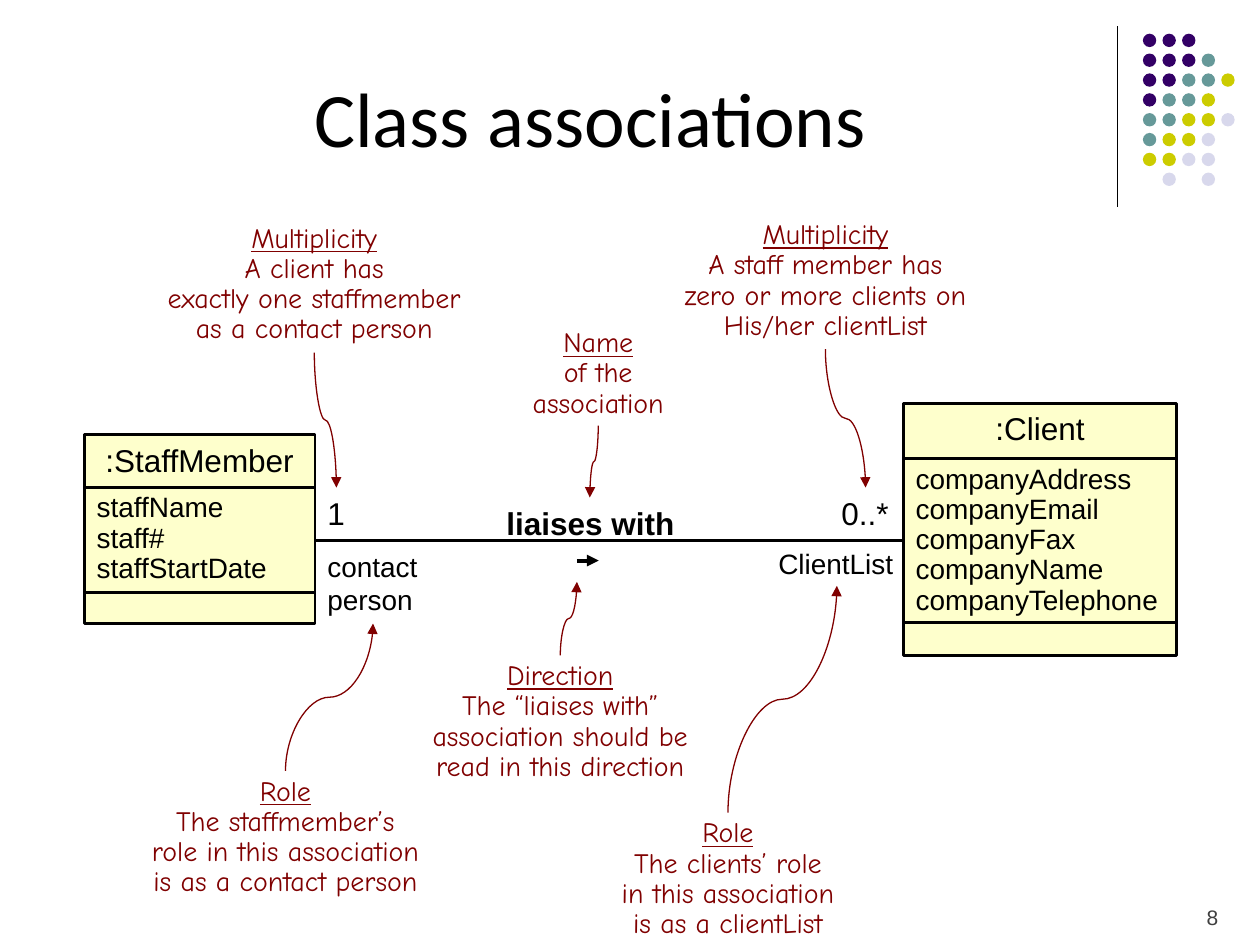
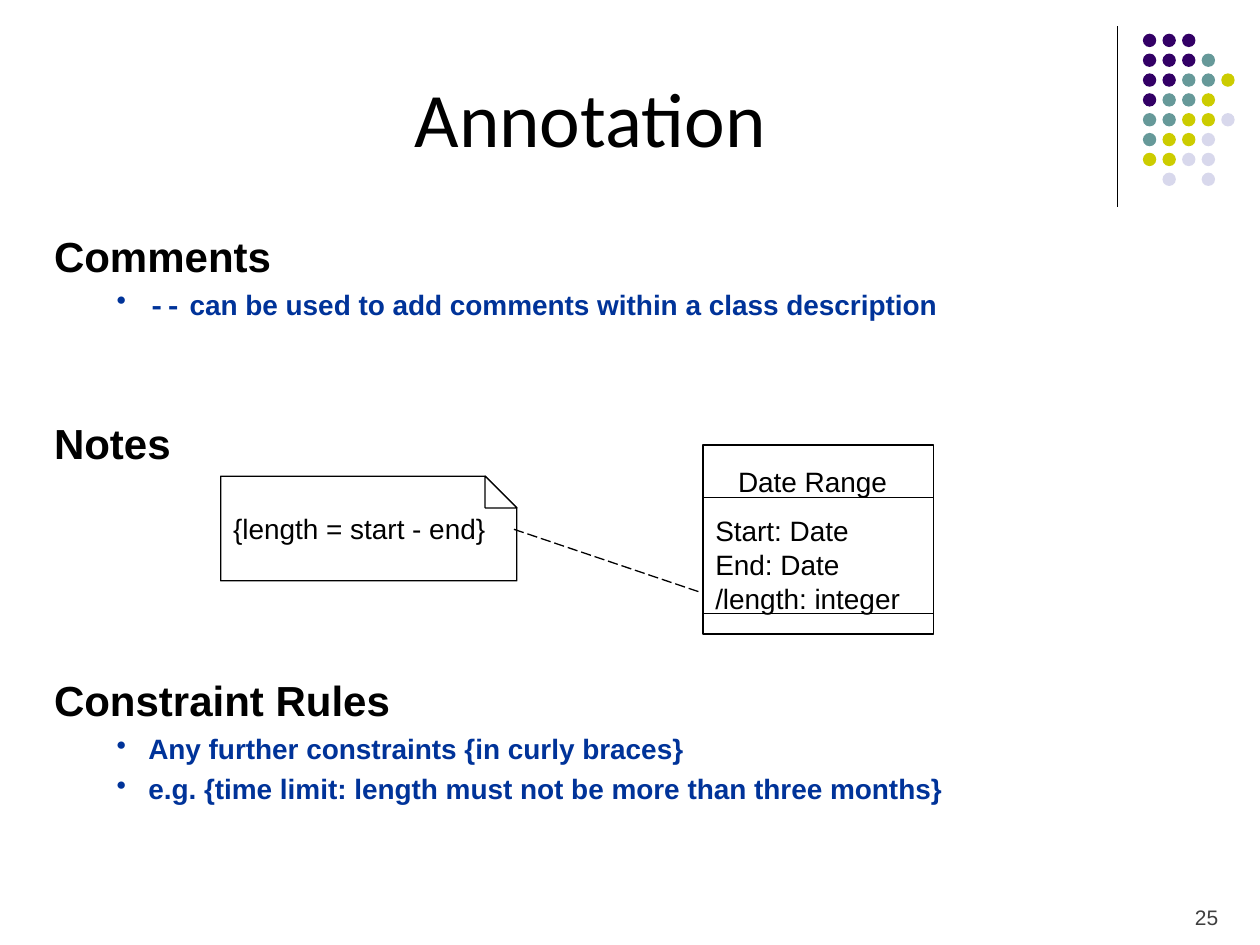
from dataclasses import dataclass

from pptx import Presentation
from pptx.dml.color import RGBColor
from pptx.enum.dml import MSO_LINE
from pptx.enum.shapes import MSO_CONNECTOR, MSO_SHAPE
from pptx.enum.text import MSO_ANCHOR, PP_ALIGN
from pptx.oxml import parse_xml
from pptx.oxml.ns import nsdecls, qn
from pptx.util import Cm, Pt

RECT, OVAL, FOLD = MSO_SHAPE.RECTANGLE, MSO_SHAPE.OVAL, MSO_SHAPE.RIGHT_TRIANGLE
LINE, CURVE = MSO_CONNECTOR.STRAIGHT, MSO_CONNECTOR.CURVE
LEFT, MID, RIGHT = PP_ALIGN.LEFT, PP_ALIGN.CENTER, PP_ALIGN.RIGHT
TOP, HALF, BASE = MSO_ANCHOR.TOP, MSO_ANCHOR.MIDDLE, MSO_ANCHOR.BOTTOM
DASH = MSO_LINE.LONG_DASH


@dataclass(frozen=True)
class Theme:
    ink: str = "000000"
    white: str = "FFFFFF"
    cream: str = "FEFFCC"
    wine: str = "800000"
    blue: str = "003399"
    gray: str = "3F3F3F"
    dots: tuple = (("P", "330066"), ("T", "669999"), ("Y", "CCCC00"), ("L", "D8D8EC"))
    sans: str = "Arial"
    title_font: str = "Calibri"
    hand: str = "Comic Neue"
    mono: str = "Courier New"
    title: int = 44
    head: int = 24
    name: int = 18
    text: int = 16
    foot: int = 12
    thin: float = 0.75
    bold: float = 1.5
    thick: float = 2.25


T = Theme()


def put(slide, box, lines=(), kind=None, fill=None, edge=None, size=T.text, face=T.sans,
        color=T.ink, align=LEFT, anchor=TOP, space=1.0, wrap=False):
    """Add a text box, or a preset shape if kind is given; box is in centimetres."""
    area = [Cm(v) for v in box]
    if kind is None:
        shape = slide.shapes.add_textbox(*area)
    else:
        shape = slide.shapes.add_shape(kind, *area)
        shape.shadow.inherit = False
        shape.fill.background()
        shape.line.fill.background()
    if fill:
        shape.fill.solid()
        shape.fill.fore_color.rgb = RGBColor.from_string(fill)
    if edge:
        shape.line.color.rgb = RGBColor.from_string(T.ink)
        shape.line.width = Pt(edge)
    frame = shape.text_frame
    frame.word_wrap, frame.vertical_anchor = wrap, anchor
    if lines:
        frame.text = "\n".join(lines)
        for para in frame.paragraphs:
            para.alignment, para.line_spacing = align, space
            para.font.name, para.font.size = face, Pt(size)
            para.font.color.rgb = RGBColor.from_string(color)
    return shape


def link(slide, start, end, color=T.ink, width=T.thin, kind=LINE, arrow=False):
    """Join two points; a curve leaves and arrives vertically."""
    (x1, y1), (x2, y2) = start, end
    if kind == CURVE:
        # A connector curve runs sideways, so lay it flat and turn it about its centre.
        down, right = y2 > y1, x2 > x1
        turn = 90 if down and not right else 270
        side = -1 if down and right else 1
        mx, my = (x1 + x2) / 2, (y1 + y2) / 2
        dx, dy = side * abs(y2 - y1) / 2, abs(x2 - x1) / 2
        x1, y1, x2, y2 = mx - dx, my - dy, mx + dx, my + dy
    line = slide.shapes.add_connector(kind, Cm(x1), Cm(y1), Cm(x2), Cm(y2))
    line.line.color.rgb = RGBColor.from_string(color)
    line.line.width = Pt(width)
    props = line._element.spPr
    if kind == CURVE:
        props.find(qn("a:xfrm")).set("rot", str(turn * 60000))
    if arrow:
        props.find(qn("a:ln")).append(
            parse_xml(f'<a:tailEnd {nsdecls("a")} type="triangle"/>'))
    props.append(parse_xml(f'<a:effectLst {nsdecls("a")}/>'))
    return line


deck = Presentation()
deck.slide_width, deck.slide_height = Cm(25.4), Cm(19.05)
blank = deck.slide_layouts[6]

# Shared frame: rule, dots, title and page number
DOTS = ["PPP", "PPPT", "PPTTY", "PTTY", "TTYYL", "TYYL", "YYLL", " L L"]
tints = dict(T.dots)
for title, page in [("Class associations", "8"), ("Annotation", "25")]:
    slide = deck.slides.add_slide(blank)
    link(slide, (22.53, 0.53), (22.53, 4.17))
    for row, marks in enumerate(DOTS):
        for col, mark in enumerate(marks):
            if mark in tints:
                put(slide, (23.04 + 0.395 * col, 0.68 + 0.4 * row, 0.27, 0.27),
                    kind=OVAL, fill=tints[mark])
    put(slide, (1.27, 0.76, 21.26, 3.18), [title], size=T.title, face=T.title_font,
        align=MID, anchor=HALF, wrap=True)
    foot = put(slide, (22.78, 17.98, 2.03, 0.76), [page], size=T.foot, color=T.gray,
               align=RIGHT, anchor=BASE, wrap=True)
    foot.text_frame.margin_bottom = 0
assoc, notes = deck.slides

# Class associations: the two classes
classes = [
    (":StaffMember", (1.7, 8.76, 4.65, 3.81), 9.83, 2.11,
     ["staffName", "staff#", "staffStartDate"]),
    (":Client", (18.21, 8.13, 5.51, 5.08), 9.25, 3.3,
     ["companyAddress", "companyEmail", "companyFax", "companyName", "companyTelephone"]),
]
for name, box, top, high, fields in classes:
    put(assoc, box, [name], RECT, T.cream, T.bold, size=T.name, align=MID)
    put(assoc, (box[0], top, box[2], high), fields, RECT, T.cream, T.bold, space=0.9)

# The association and its labels
link(assoc, (6.35, 10.9), (18.21, 10.9), width=T.bold)
link(assoc, (11.63, 11.3), (12.07, 11.3), width=T.thick, arrow=True)
labels = [
    ((6.35, 9.83, 0.86, 1.02), ["1"], T.name),
    ((16.71, 9.83, 1.47, 1.02), ["0..*"], T.name),
    ((9.96, 10.03, 3.89, 1.02), ["liaises with"], T.name),
    ((6.35, 10.95, 2.34, 1.63), ["contact", "person"], T.text),
    ((15.44, 10.9, 2.82, 0.94), ["ClientList"], T.text),
]
for box, lines, size in labels:
    label = put(assoc, box, lines, size=size)
    label.text_frame.paragraphs[0].font.bold = lines == ["liaises with"]

# Callouts, each with a curve from its middle to the tip
callouts = [
    ((10.36, 6.5, 3.4, 2.08), (11.89, 10.03), ["Name", "of the", "association"]),
    ((13.34, 4.32, 6.6, 2.72), (17.45, 9.83),
     ["Multiplicity", "A staff member has", "zero or more clients on", "His/her clientList"]),
    ((2.74, 4.39, 7.19, 2.72), (6.78, 9.83),
     ["Multiplicity", "A client has", "exactly one staffmember", "as a contact person"]),
    ((8.26, 13.21, 6.07, 2.72), (11.63, 11.73),
     ["Direction", "The “liaises with”", "association should be", "read in this direction"]),
    ((12.07, 16.38, 5.21, 2.67), (16.87, 11.81),
     ["Role", "The clients’ role", "in this association", "is as a clientList"]),
    ((2.54, 15.54, 6.43, 2.72), (7.52, 12.57),
     ["Role", "The staffmember’s", "role in this association", "is as a contact person"]),
]
for box, tip, lines in callouts:
    note = put(assoc, box, lines, face=T.hand, color=T.wine, align=MID, space=0.9)
    note.text_frame.paragraphs[0].font.underline = True
    left, top, wide, high = box
    start = (left + wide / 2, top + high if tip[1] > top else top)
    link(assoc, start, tip, T.wine, kind=CURVE, arrow=True)

# Annotation: outline text as (text, is bullet, space before)
outline = [
    ("Comments", False, 0),
    ("-- can be used to add comments within a class description", True, 3.7),
    ("Notes", False, 55),
    ("Constraint Rules", False, 118.5),
    ("Any further constraints {in curly braces}", True, 3.7),
    ("e.g. {time limit: length must not be more than three months}", True, 3.7),
]
body = put(notes, (0.84, 4.52, 23.7, 14.4), [row[0] for row in outline],
           size=T.head, wrap=True)
for para, (text, bullet, gap) in zip(body.text_frame.paragraphs, outline):
    para.space_before = Pt(gap)
    para.font.bold = True
    if bullet:
        para.level = 1
        para.font.size = Pt(T.text)
        para.font.color.rgb = RGBColor.from_string(T.blue)
        props = para._p.pPr
        props.set("marL", str(Cm(1.9)))
        props.set("indent", str(Cm(-0.64)))
        mark = props.find(qn("a:defRPr"))
        for item in (f'<a:buClr {nsdecls("a")}><a:srgbClr val="{T.blue}"/></a:buClr>',
                     f'<a:buChar {nsdecls("a")} char="•"/>'):
            mark.addprevious(parse_xml(item))
    if text.startswith("--"):
        dash = para.runs[0]
        dash.text = "--"
        dash.font.name = T.mono
        para.add_run().text = text[2:]

# Note with a folded corner
left, top, wide, high, fold = 4.45, 9.6, 5.97, 2.11, 0.64
right, low = left + wide, top + high
pen = notes.shapes.build_freeform(Cm(left), Cm(top))
pen.add_line_segments([(Cm(x), Cm(y)) for x, y in [
    (right - fold, top), (right, top + fold), (right, low), (left, low)]])
sheet = pen.convert_to_shape()
sheet.shadow.inherit = False
sheet.fill.background()
sheet.line.color.rgb = RGBColor.from_string(T.ink)
sheet.line.width = Pt(T.thin)
put(notes, (right - fold, top, fold, fold), kind=FOLD, fill=T.white, edge=T.thin)
put(notes, (left, top, wide, high), ["{length = start - end}"], anchor=HALF)

# Date Range class
left, top, wide, high = 14.17, 8.97, 4.65, 3.81
span = put(notes, (left, top, wide, high),
           ["Date Range", "Start: Date", "End: Date", "/length: integer"],
           RECT, edge=T.thin, anchor=HALF)
name, first = span.text_frame.paragraphs[:2]
name._p.pPr.set("marL", str(Cm(0.46)))
first.space_before = Pt(9.2)
for y in (10.03, 12.37):
    link(notes, (left, y), (left + wide, y))
link(notes, (10.36, 10.67), (14.12, 11.94)).line.dash_style = DASH

deck.save("out.pptx")
